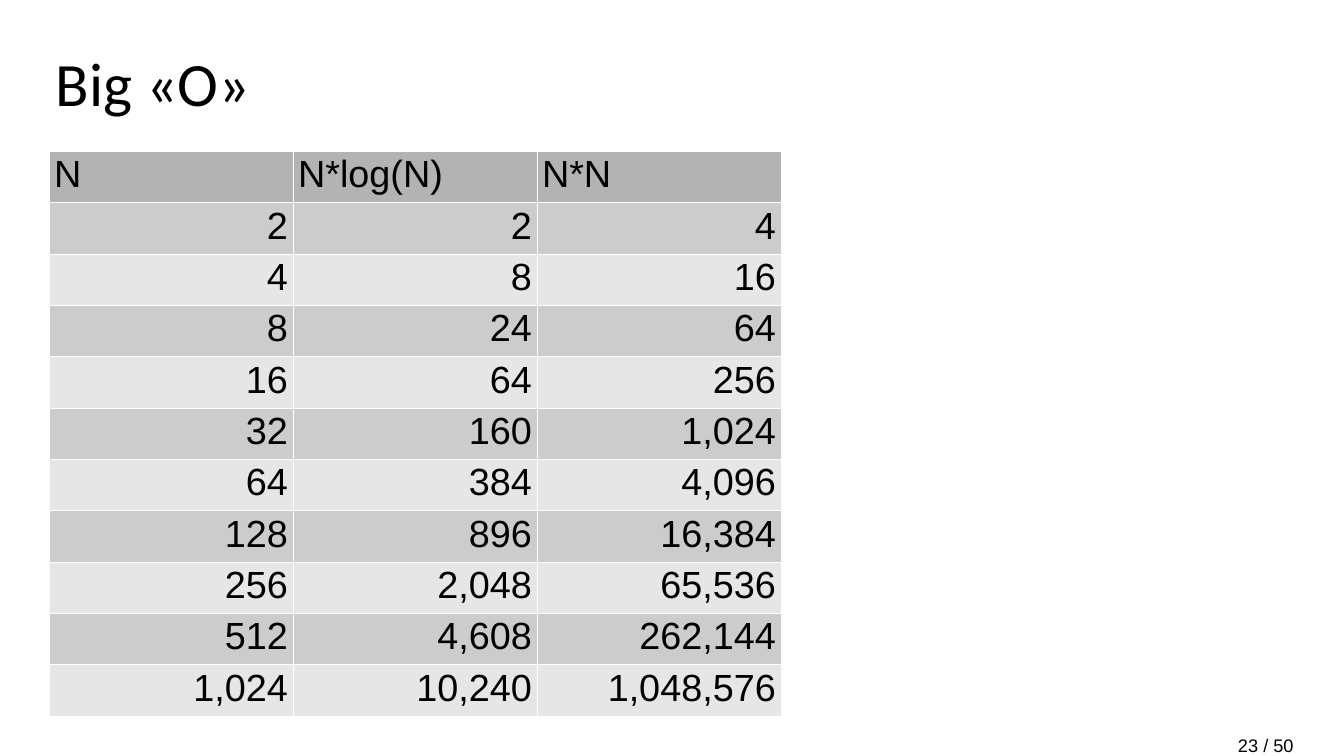
import math

import pptx
import pptx.dml.color
import pptx.enum.text
import pptx.oxml.ns
import pptx.util
from lxml import etree

# Content
TITLE = "Big «O»"
PAGE = "23 / 50"
HEADERS = ["N", "N*log(N)", "N*N"]
SIZES = [2 ** k for k in range(1, 11)]
ROWS = [HEADERS] + [
    [f"{n:,}", f"{n * int(math.log2(n)):,}", f"{n * n:,}"] for n in SIZES
]

# Theme and layout
THEME = {
    "title_font": "Calibri", "body_font": "Arial",
    "title_size": 88, "table_size": 54, "page_size": 26,
    "text": "000000", "border": "FFFFFF",
    "header": "B3B3B3", "bands": ["CCCCCC", "E6E6E6"],
}
PX = 914400 / 50.4
SLIDE = (1344, 756)
TITLE_BOX = (56, 42, 1231, 84)
PAGE_BOX = (1233, 732, 129, 25)
TABLE_BOX = (49, 151, 732, 565)
BORDER_WIDTH = 762  # EMU


def emu(px):
    return pptx.util.Emu(round(px * PX))


def rgb(value):
    return pptx.dml.color.RGBColor.from_string(value)


def style(p, font, size):
    p.font.name = font
    p.font.size = pptx.util.Pt(size)
    p.font.color.rgb = rgb(THEME["text"])


def add_text(s, box, text, font, size):
    tf = s.shapes.add_textbox(*map(emu, box)).text_frame
    tf.word_wrap = True
    tf.text = text
    style(tf.paragraphs[0], font, size)
    return tf


def add_borders(cell):
    tcPr = cell._tc.get_or_add_tcPr()
    qn = pptx.oxml.ns.qn
    for i, side in enumerate(("a:lnL", "a:lnR", "a:lnT", "a:lnB")):
        ln = etree.Element(qn(side), w=str(BORDER_WIDTH))
        fill = etree.SubElement(ln, qn("a:solidFill"))
        etree.SubElement(fill, qn("a:srgbClr"), val=THEME["border"])
        tcPr.insert(i, ln)


def add_growth_table(s):
    x, y, w, h = TABLE_BOX
    table = s.shapes.add_table(len(ROWS), len(HEADERS), *map(emu, TABLE_BOX)).table
    for column in table.columns:
        column.width = emu(w / len(HEADERS))
    for row in table.rows:
        row.height = emu(h / len(ROWS))
    for i, values in enumerate(ROWS):
        color = THEME["bands"][(i - 1) % 2] if i else THEME["header"]
        for j, value in enumerate(values):
            cell = table.cell(i, j)
            cell.text = value
            cell.fill.solid()
            cell.fill.fore_color.rgb = rgb(color)
            p = cell.text_frame.paragraphs[0]
            if i:
                p.alignment = pptx.enum.text.PP_ALIGN.RIGHT
            style(p, THEME["body_font"], THEME["table_size"])
            add_borders(cell)


def main():
    prs = pptx.Presentation()
    prs.slide_width, prs.slide_height = map(emu, SLIDE)
    s = prs.slides.add_slide(prs.slide_layouts[6])

    # Title
    tf = add_text(s, TITLE_BOX, TITLE, THEME["title_font"], THEME["title_size"])
    tf.margin_left = 0
    tf.vertical_anchor = pptx.enum.text.MSO_ANCHOR.MIDDLE
    tf.paragraphs[0].line_spacing = pptx.util.Pt(100)

    # Page number
    add_text(s, PAGE_BOX, PAGE, THEME["body_font"], THEME["page_size"])

    # Growth table
    add_growth_table(s)
    prs.save("out.pptx")


if __name__ == "__main__":
    main()
